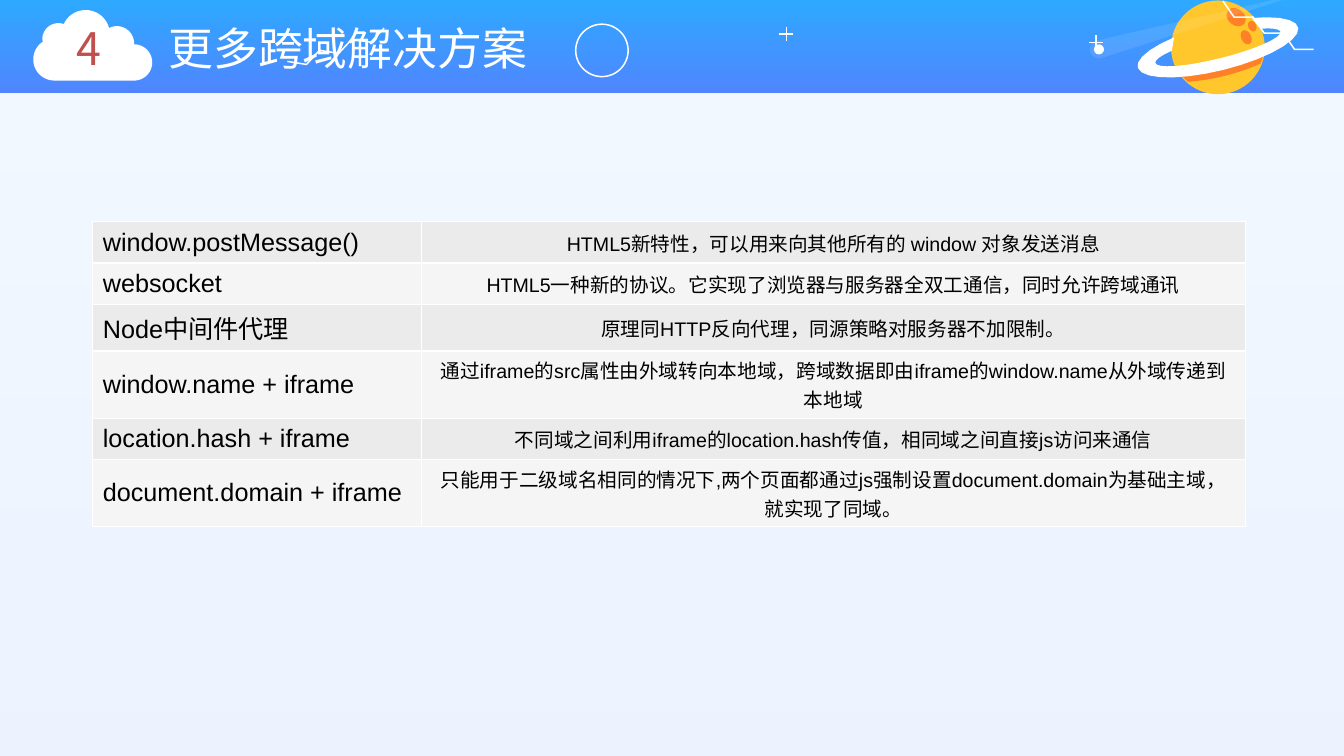
from math import cos, radians, sin

from lxml import etree
from pptx import Presentation
from pptx.dml.color import RGBColor
from pptx.enum.shapes import MSO_CONNECTOR, MSO_SHAPE
from pptx.enum.text import MSO_ANCHOR, MSO_AUTO_SIZE, PP_ALIGN
from pptx.oxml.ns import qn
from pptx.util import Inches, Pt

RECT, OVAL = MSO_SHAPE.RECTANGLE, MSO_SHAPE.OVAL
STRAIGHT = MSO_CONNECTOR.STRAIGHT
LEFT, CENTER = PP_ALIGN.LEFT, PP_ALIGN.CENTER
TOP, MIDDLE = MSO_ANCHOR.TOP, MSO_ANCHOR.MIDDLE
CJK = "Noto Sans CJK SC"
WHITE, ORANGE, YELLOW = "FFFFFF", "FF8026", "FFC72B"
LINE_WIDTH = Pt(1.08)


def rgb(color):
    return RGBColor.from_string(color)


def arc(center, a, b, start, end, tilt=0):
    """Points on an ellipse with half axes a and b, its right end raised by tilt degrees."""
    steps = 24
    c, d = cos(radians(tilt)), sin(radians(tilt))
    angles = [radians(start + (end - start) * n / steps) for n in range(steps + 1)]
    return [(center[0] + a * cos(t) * c + b * sin(t) * d,
             center[1] - a * cos(t) * d + b * sin(t) * c) for t in angles]


prs = Presentation()
prs.slide_width, prs.slide_height = Inches(13.33), Inches(7.5)
s = prs.slides.add_slide(prs.slide_layouts[5])

# Background and header band
bands = []
for height, top_color in ((7.54, "81CBFF"), (0.96, "2DAAFF")):
    sp = s.shapes.add_shape(RECT, 0, Inches(-0.04), prs.slide_width, Inches(height))
    sp.shadow.inherit = False
    sp.line.fill.background()
    sp.fill.gradient()
    sp.fill.gradient_angle = 270
    for stop, color in zip(sp.fill.gradient_stops, (top_color, "4F86FF")):
        stop.color.rgb = rgb(color)
    bands.append(sp)

# Crosses
arm = 0.07
for x, y in ((10.87, 0.42), (7.8, 0.34)):
    for dx, dy in ((arm, 0), (0, arm)):
        cross = s.shapes.add_connector(STRAIGHT, Inches(x - dx), Inches(y - dy), Inches(x + dx), Inches(y + dy))
        cross.line.color.rgb = rgb(WHITE)
        cross.line.width = LINE_WIDTH
        etree.SubElement(cross._element.spPr, qn("a:effectLst"))

# Ring, planet, craters and comet: centre, size, rotation, fill (None for outline only)
shapes = []
for x, y, w, h, turn, color in (
    (5.97, 0.5, 0.52, 0.52, 0, None),
    (12.08, 0.47, 0.93, 0.93, 0, YELLOW),
    (12.26, 0.17, 0.21, 0.16, 40, ORANGE),
    (12.42, 0.26, 0.08, 0.11, -25, ORANGE),
    (12.36, 0.37, 0.1, 0.15, -25, ORANGE),
    (10.9, 0.49, 0.1, 0.1, 0, WHITE),
):
    sp = s.shapes.add_shape(OVAL, Inches(x - w / 2), Inches(y - h / 2), Inches(w), Inches(h))
    sp.rotation = turn
    shapes.append((sp, color))

# Zigzags repeat a pair of steps; the other outlines are chains of arcs
outlines = []
for x, y, steps in ((2.85, 0.61, ((0.19, 0.03), (0.13, -0.14))),
                    (12.13, 0.01, ((0.11, 0.16), (0.19, 0)))):
    points = [(x, y)]
    for dx, dy in steps * 3:
        x, y = x + dx, y + dy
        points.append((x, y))
    outlines.append((points, None))

hub, tilt = (12.08, 0.47), 14
shade = arc(hub, 0.82, 0.29, 63, 117, tilt) + arc(hub, 0.82, 0.17, 123, 57, tilt)
planet_ring = arc(hub, 0.82, 0.23, -61, 241, tilt) + arc(hub, 0.64, 0.11, 225, -45, tilt)
tail = arc((10.9, 0.49), 0.09, 0.09, 75, 250) + [(12.97, -0.08)]
cloud = []
for x, y, radius, start, end in (
    (0.54, 0.59, 0.21, 90, 237),
    (0.58, 0.39, 0.16, 180, 290),
    (0.85, 0.34, 0.24, 205, 345),
    (1.16, 0.43, 0.17, 240, 360),
    (1.33, 0.62, 0.18, 270, 450),
):
    cloud += arc((x, y), radius, radius, start, end)
outlines += [(shade, ORANGE), (planet_ring, WHITE), (tail, WHITE), (cloud, WHITE)]

for points, color in outlines:
    emu = [(Inches(x), Inches(y)) for x, y in points]
    builder = s.shapes.build_freeform(*emu[0], scale=1.0)
    builder.add_line_segments(emu[1:], close=color is not None)
    sp = builder.convert_to_shape()
    shapes.append((sp, color))
    if points is tail:
        comet_tail = sp

for sp, color in shapes:
    sp.shadow.inherit = False
    if color:
        sp.fill.solid()
        sp.fill.fore_color.rgb = rgb(color)
        sp.line.fill.background()
    else:
        sp.fill.background()
        sp.line.color.rgb = rgb(WHITE)
        sp.line.width = LINE_WIDTH

for sp in (bands[0], comet_tail):
    for clr in sp._element.spPr.iter(qn("a:srgbClr")):
        etree.SubElement(clr, qn("a:alpha"), val="10000")

# Title and section number; each text is styled at the end
title = s.shapes.title
s.shapes._spTree.append(title._element)
number = s.shapes.add_textbox(0, 0, 0, 0)
texts = []
for sp, left, width, text, color in ((title, 1.57, 6.56, "更多跨域解决方案", WHITE),
                                     (number, 0.66, 0.51, "4", "C0504D")):
    sp.left, sp.top, sp.width, sp.height = (Inches(v) for v in (left, 0.16, width, 0.64))
    tf = sp.text_frame
    for key, value in {"word_wrap": True, "auto_size": MSO_AUTO_SIZE.NONE, "vertical_anchor": TOP}.items():
        setattr(tf, key, value)
    texts.append((tf, text, LEFT, 32, CJK, color))

# Table of solutions
rows = (
    ("window.postMessage()", "HTML5新特性，可以用来向其他所有的 window 对象发送消息"),
    ("websocket", "HTML5一种新的协议。它实现了浏览器与服务器全双工通信，同时允许跨域通讯"),
    ("Node中间件代理", "原理同HTTP反向代理，同源策略对服务器不加限制。"),
    ("window.name + iframe",
     "通过iframe的src属性由外域转向本地域，跨域数据即由iframe的window.name从外域传递到本地域"),
    ("location.hash + iframe", "不同域之间利用iframe的location.hash传值，相同域之间直接js访问来通信"),
    ("document.domain + iframe",
     "只能用于二级域名相同的情况下,两个页面都通过js强制设置document.domain为基础主域，就实现了同域。"),
)
row_height = 0.41
table = s.shapes.add_table(len(rows), 2, Inches(0.92), Inches(2.2), Inches(11.43),
                           Inches(row_height * len(rows))).table
table.first_row = table.horz_banding = False
for column, width in zip(table.columns, (3.26, 8.17)):
    column.width = Inches(width)
for i, row in enumerate(rows):
    table.rows[i].height = Inches(row_height)
    for j, (text, align, size) in enumerate(zip(row, (LEFT, CENTER), (18, 14))):
        cell = table.cell(i, j)
        cell.vertical_anchor = MIDDLE
        cell.fill.solid()
        cell.fill.fore_color.rgb = rgb(("EBEBEB", "F5F5F5")[i % 2])
        texts.append((cell.text_frame, text, align, size, "Arial", "000000"))

for tf, text, align, size, font, color in texts:
    p = tf.paragraphs[0]
    p.alignment = align
    r = p.add_run()
    r.text = text
    r.font.size = Pt(size)
    r.font.color.rgb = rgb(color)
    r.font.name = font
    etree.SubElement(r._r.rPr, qn("a:ea"), typeface=CJK)

prs.save("out.pptx")
